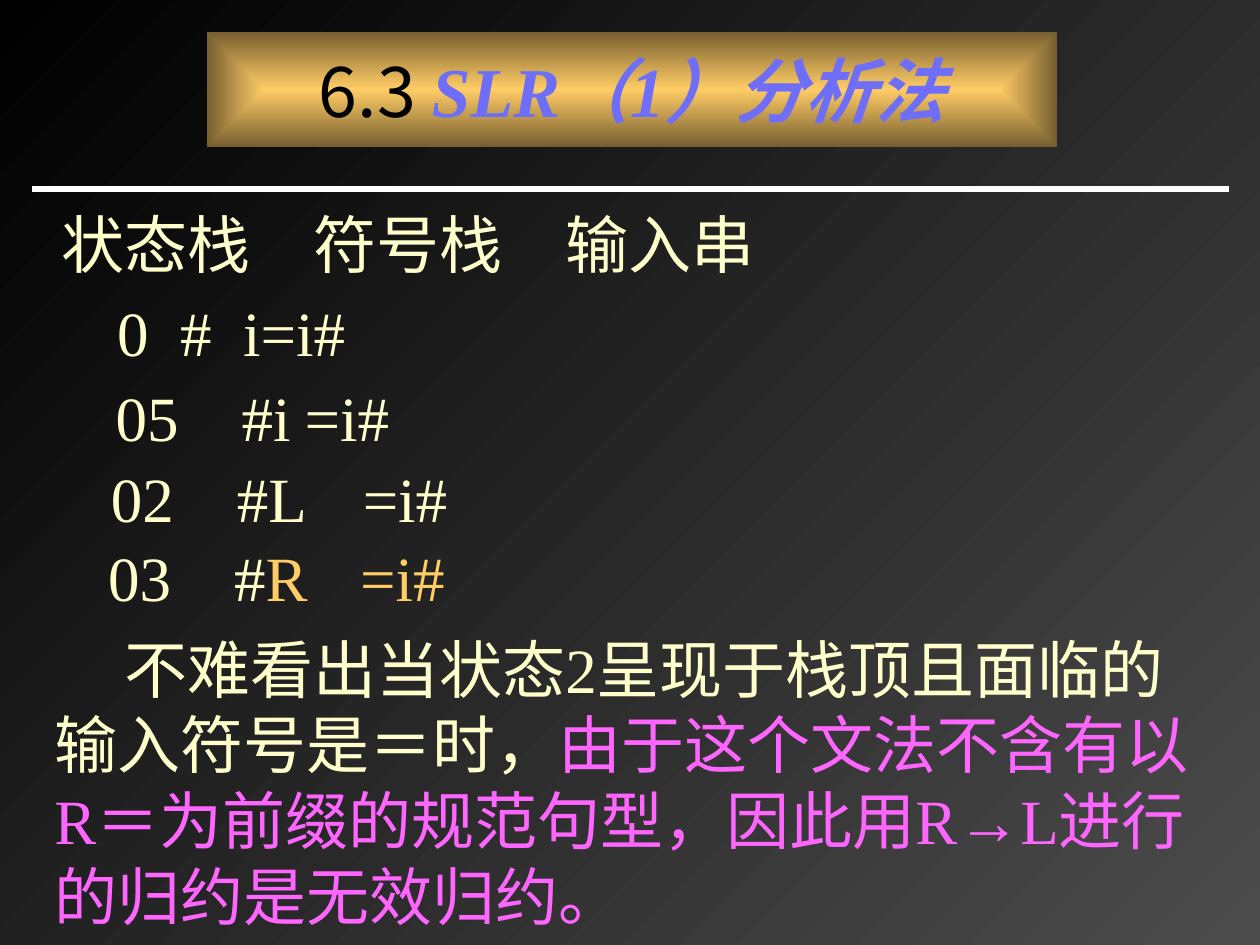
"""Build the slide on parsing steps of the SLR(1) method."""
from dataclasses import dataclass

import pptx
import pptx.dml.color
import pptx.enum.shapes
import pptx.enum.text
import pptx.oxml.ns
import pptx.util
from lxml import etree

Pt = pptx.util.Pt
qn = pptx.oxml.ns.qn

SERIF = "Times New Roman"
SANS = "Noto Sans CJK SC"
CREAM = "FFFFCC"
GOLD = "FFCC66"
PINK = "FF66FF"
INSET = 7.2
LINE_PITCH = 43.2
SYMBOL_TAB = 261.3
INPUT_END = 664


@dataclass
class Piece:
    text: str
    color: str = CREAM
    font: str = SERIF
    size: float = 36
    emphasis: bool = False


@dataclass
class Tab:
    position: float
    align: str = "l"


@dataclass
class Step:
    left: float
    top: float
    pieces: list[Piece]


STEPS = [
    Step(59.8, 162, [Piece("0\t#\ti=i#")]),
    Step(59, 210.2, [Piece("05\t#i\t=i#")]),
    Step(56.2, 256.3, [Piece("02\t#L\t=i#")]),
    Step(54.7, 301.7, [Piece("03\t#"), Piece("R\t=i#", GOLD)]),
]


def rgb(color: str) -> pptx.dml.color.RGBColor:
    return pptx.dml.color.RGBColor.from_string(color)


def set_gradient(fill, start: str, end: str) -> None:
    fill.gradient()
    for stop, color in zip(fill.gradient_stops, (start, end)):
        stop.color.rgb = rgb(color)


def add_pieces(paragraph, pieces: list[Piece]) -> None:
    for piece in pieces:
        run = paragraph.add_run()
        run.text = piece.text
        run.font.size = Pt(piece.size)
        run.font.bold = run.font.italic = piece.emphasis
        run.font.color.rgb = rgb(piece.color)
        run.font.name = piece.font
        etree.SubElement(run.font._element, qn("a:ea"), typeface=SANS)


def add_text(slide, left: float, top: float, width: float, height: float,
             pieces: list[Piece], tabs: tuple[Tab, ...] = (),
             first_indent: float = 0) -> None:
    frame = slide.shapes.add_textbox(Pt(left), Pt(top), Pt(width), Pt(height)).text_frame
    frame.word_wrap = True
    frame.margin_top = Pt(6)
    frame.margin_bottom = Pt(0)
    paragraph = frame.paragraphs[0]
    paragraph.line_spacing = Pt(LINE_PITCH)
    properties = paragraph._p.get_or_add_pPr()
    properties.set("indent", str(int(Pt(first_indent))))
    if tabs:
        stops = etree.SubElement(properties, qn("a:tabLst"))
        for tab in tabs:
            etree.SubElement(stops, qn("a:tab"), pos=str(int(Pt(tab.position))), algn=tab.align)
    add_pieces(paragraph, pieces)


def add_title(slide) -> None:
    title = slide.shapes.title
    title.left, title.top, title.width, title.height = Pt(118), Pt(18), Pt(486), Pt(66)
    set_gradient(title.fill, GOLD, "765E2F")
    gradient = title._element.spPr.find(qn("a:gradFill"))
    gradient.remove(gradient.find(qn("a:lin")))
    center = etree.SubElement(gradient, qn("a:path"), path="rect")
    etree.SubElement(center, qn("a:fillToRect"), l="50000", t="50000", r="50000", b="50000")
    frame = title.text_frame
    frame.auto_size = pptx.enum.text.MSO_AUTO_SIZE.NONE
    frame.vertical_anchor = pptx.enum.text.MSO_ANCHOR.MIDDLE
    paragraph = frame.paragraphs[0]
    paragraph.alignment = pptx.enum.text.PP_ALIGN.CENTER
    add_pieces(paragraph, [
        Piece("6.3 ", "000000", SANS, 40),
        Piece("SLR（1）分析法", "6E6EF8", SERIF, 40, True),
    ])


def add_rule(slide) -> None:
    rule = slide.shapes.add_connector(
        pptx.enum.shapes.MSO_CONNECTOR.STRAIGHT, Pt(18), Pt(108), Pt(702), Pt(108))
    rule.line.color.rgb = rgb("FFFFFF")
    rule.line.width = Pt(3)
    etree.SubElement(rule._element.spPr, qn("a:effectLst"))


def main() -> None:
    deck = pptx.Presentation()
    deck.slide_width, deck.slide_height = Pt(720), Pt(540)
    slide = deck.slides.add_slide(deck.slide_layouts.get_by_name("Title Only"))
    background = slide.background.fill
    set_gradient(background, "000000", "4C4C4C")
    background.gradient_angle = 315
    add_title(slide)
    add_rule(slide)
    add_text(slide, 28, 111.6, 672, 50.4,
             [Piece("状态栈\t符号栈\t输入串", font=SANS)], (Tab(172.5), Tab(361)))
    for step in STEPS:
        input_tab = Tab(INPUT_END - step.left - INSET, "r")
        add_text(slide, step.left, step.top, 625, 50.4,
                 step.pieces, (Tab(SYMBOL_TAB), input_tab))
    add_text(slide, 24, 354.2, 672, 180, [
        Piece("不难看出当状态2呈现于栈顶且面临的输入符号是＝时，"),
        Piece("由于这个文法不含有以R＝为前缀的规范句型，因此用R→L进行的归约是无效归约。", PINK),
    ], first_indent=40)
    deck.save("out.pptx")


if __name__ == "__main__":
    main()
